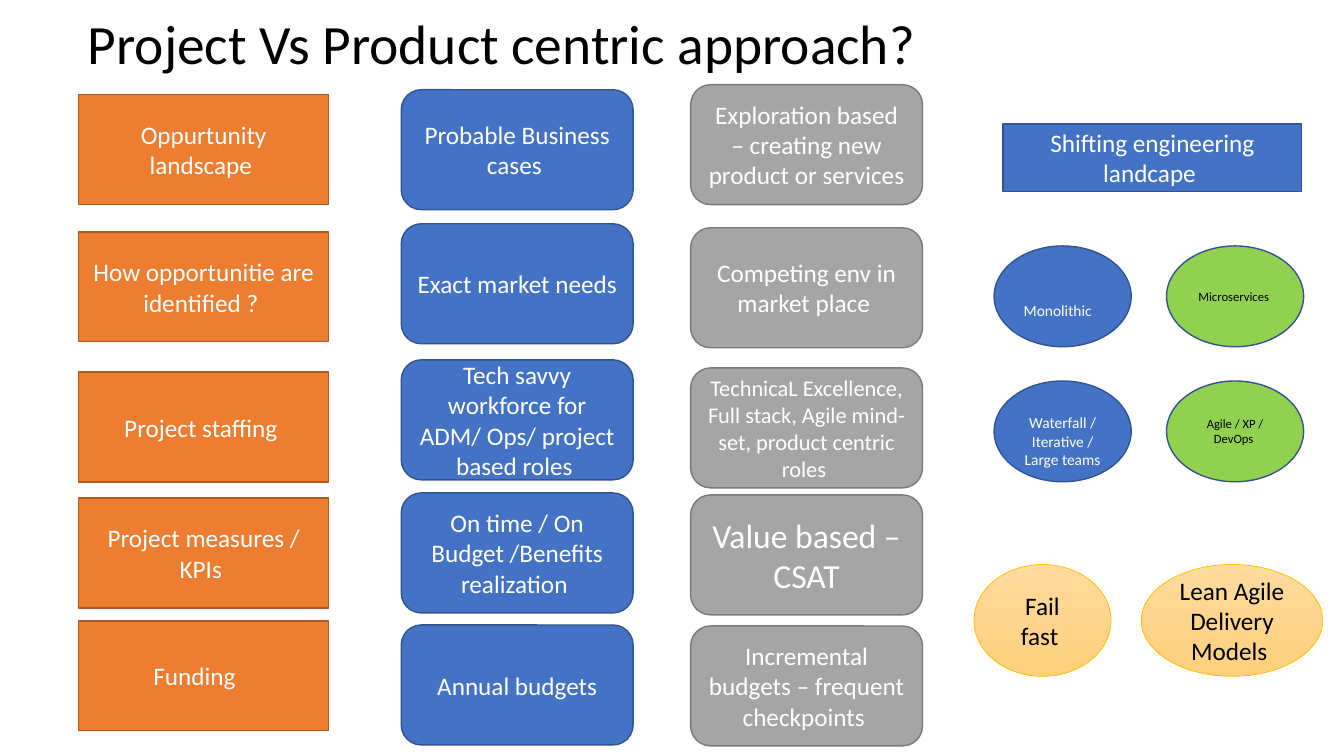
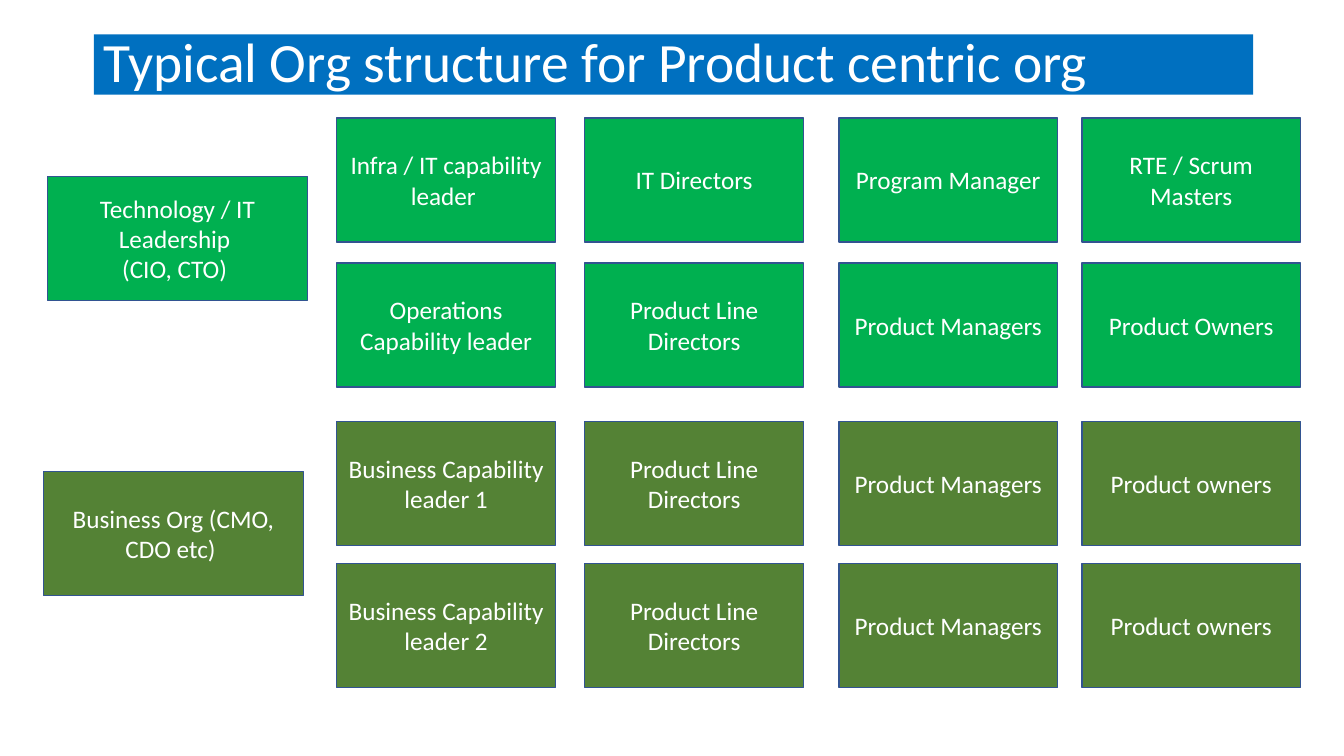
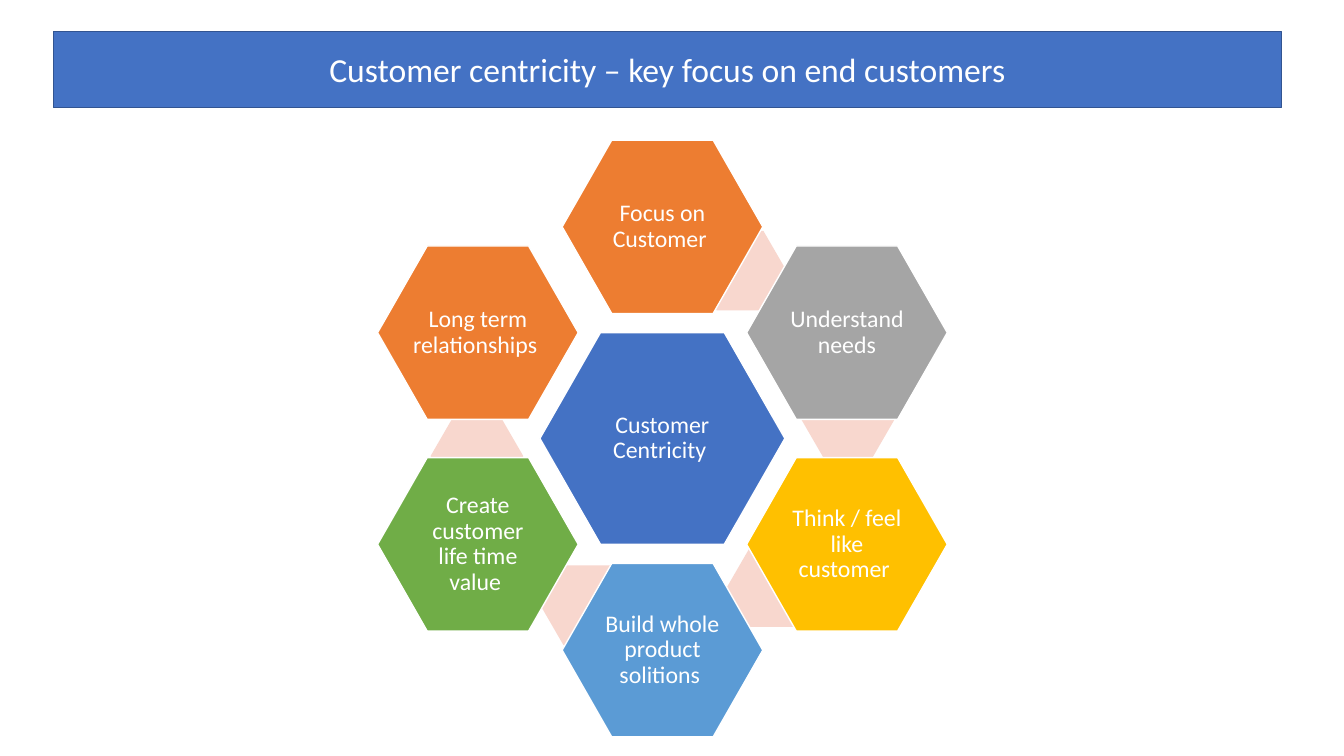
"""Build three slides on the product centric approach."""
from dataclasses import dataclass

from pptx import Presentation
from pptx.dml.color import RGBColor
from pptx.enum import shapes, text
from pptx.util import Inches, Pt


@dataclass(frozen=True)
class Theme:
    font: str = "Calibri"
    white: str = "FFFFFF"
    black: str = "000000"
    blue: str = "4472C4"
    blue_edge: str = "325491"
    orange: str = "ED7D31"
    orange_edge: str = "AF5C24"
    grey: str = "A5A5A5"
    grey_edge: str = "7A7A7A"
    gold: str = "FFC000"
    sand: tuple = ("FFDB9E", "FFD07C")
    lime: str = "92D050"
    sky: str = "5B9BD5"
    leaf: str = "70AD47"
    pink: str = "F8D7CE"
    banner: str = "0070C0"
    tech: str = "00B050"
    business: str = "548235"
    title: float = 39.6
    heading: int = 24
    body: int = 18
    ring: int = 17
    compact: int = 16
    small: int = 11
    tiny: int = 9


T = Theme()
S = shapes.MSO_SHAPE
CENTER, LEFT = text.PP_ALIGN.CENTER, text.PP_ALIGN.LEFT


def write(sp, words, size=T.body, color=T.white, align=CENTER, spacing=None, margins=None):
    tf = sp.text_frame
    tf.text = words
    frame = {"word_wrap": True, "auto_size": text.MSO_AUTO_SIZE.NONE,
             "vertical_anchor": text.MSO_ANCHOR.MIDDLE}
    for side, inset in (margins or {}).items():
        frame["margin_" + side] = Inches(inset)
    for name, value in frame.items():
        setattr(tf, name, value)
    for p in tf.paragraphs:
        p.alignment, p.line_spacing = align, spacing
        for r in p.runs:
            for name, value in {"name": T.font, "size": Pt(size)}.items():
                setattr(r.font, name, value)
            r.font.color.rgb = RGBColor.from_string(color)


def box(slide, kind, at, fill, edge=None, words="", weight=1, **style):
    sp = slide.shapes.add_shape(kind, *map(Inches, at))
    sp.shadow.inherit = False
    if isinstance(fill, tuple):
        sp.fill.gradient()
        sp.fill.gradient_angle = 270
        for stop, shade in zip(sp.fill.gradient_stops, fill):
            stop.color.rgb = RGBColor.from_string(shade)
    else:
        sp.fill.solid()
        sp.fill.fore_color.rgb = RGBColor.from_string(fill)
    if edge:
        sp.line.color.rgb = RGBColor.from_string(edge)
        sp.line.width = Pt(weight)
    else:
        sp.line.fill.background()
    if words:
        write(sp, words, **style)
    return sp


prs = Presentation()
prs.slide_width, prs.slide_height = Inches(13.33), Inches(7.5)

titles = [
    ("Project Vs Product centric approach?", (0.77, 0.22, 11.5, 0.49), None, None,
     {"size": T.title, "color": T.black, "align": LEFT, "spacing": 0.9}),
    ("Typical Org structure for Product centric org", (0.93, 0.34, 11.5, 0.6), T.banner, None,
     {"size": T.title, "align": LEFT, "spacing": 0.9}),
    ("Customer centricity – key focus on end customers", (0.53, 0.31, 12.18, 0.76), T.blue,
     T.blue_edge, {"size": T.heading}),
]
for words, at, fill, edge, style in titles:
    slide = prs.slides.add_slide(prs.slide_layouts[5])
    sp = slide.shapes.title
    for name, value in zip(("left", "top", "width", "height"), at):
        setattr(sp, name, Inches(value))
    if fill:
        sp.fill.solid()
        sp.fill.fore_color.rgb = RGBColor.from_string(fill)
    if edge:
        sp.line.color.rgb = RGBColor.from_string(edge)
        sp.line.width = Pt(1)
    write(sp, words, **style)
approach, org, customer = prs.slides

columns = [
    (S.RECTANGLE, 0.78, 2.48, 1.09, T.orange, T.orange_edge, [
        (0.94, "Oppurtunity landscape ", {}),
        (2.3, "How opportunitie are identified ? ", {}),
        (3.69, "Project staffing ", {}),
        (4.94, "Project measures / KPIs ", {}),
        (6.16, "Funding", {"margins": {"right": 0.28}})]),
    (S.FLOWCHART_ALTERNATE_PROCESS, 3.98, 2.3, 1.19, T.blue, T.blue_edge, [
        (0.89, "Probable Business cases ", {}),
        (2.22, "Exact market needs", {}),
        (3.57, "Tech savvy workforce for ADM/ Ops/ project based roles ", {}),
        (4.89, "On time / On Budget /Benefits realization ", {}),
        (6.2, "Annual budgets", {})]),
    (S.FLOWCHART_ALTERNATE_PROCESS, 6.85, 2.3, 1.19, T.grey, T.grey_edge, [
        (0.84, "Exploration based – creating new product or services ", {}),
        (2.26, "Competing env in market place ", {}),
        (3.65, "TechnicaL Excellence, Full stack, Agile mind-set, product centric roles ",
         {"size": T.compact}),
        (4.91, "Value based – CSAT", {"size": T.heading}),
        (6.21, "Incremental budgets – frequent checkpoints ", {})]),
]
for kind, left, width, height, fill, edge, cells in columns:
    for top, words, style in cells:
        box(approach, kind, (left, top, width, height), fill, edge, words, **style)

box(approach, S.RECTANGLE, (9.95, 1.23, 2.96, 0.67), T.blue, T.blue_edge,
    "Shifting engineering landcape ")
shifts = [
    (2.44, "Monolithic", {"top": 0.33, "left": 0, "right": 0.1}, "Microservices "),
    (3.78, "Waterfall / Iterative / Large teams ", {"top": 0.24}, "Agile / XP / DevOps "),
]
for top, before, margins, after in shifts:
    box(approach, S.OVAL, (9.86, top, 1.36, 1), T.blue, T.blue_edge, before,
        size=T.small, margins=margins)
    box(approach, S.OVAL, (11.57, top, 1.36, 1), T.lime, T.blue_edge, after,
        size=T.tiny, color=T.black)
for left, width, words in [(9.66, 1.36, "Fail fast "), (11.32, 1.8, "Lean Agile Delivery Models ")]:
    box(approach, S.OVAL, (left, 5.6, width, 1.11), T.sand, T.gold, words,
        weight=0.5, color=T.black)

leaders = [
    (0.47, 1.75, T.tech, "Technology / IT Leadership \n(CIO, CTO) "),
    (0.43, 4.68, T.business, "Business Org (CMO, CDO etc) "),
]
for left, top, fill, words in leaders:
    box(org, S.RECTANGLE, (left, top, 2.58, 1.23), fill, T.blue_edge, words)
teams = [
    (1.17, T.tech, ["Infra / IT capability leader ", "IT Directors", "Program Manager",
                    "RTE / Scrum Masters"]),
    (2.61, T.tech, ["Operations Capability leader", "Product Line Directors",
                    "Product Managers", "Product Owners"]),
    (4.18, T.business, ["Business Capability leader 1", "Product Line Directors",
                        "Product Managers", "Product owners"]),
    (5.59, T.business, ["Business Capability leader 2", "Product Line Directors",
                        "Product Managers", "Product owners"]),
]
for top, fill, roles in teams:
    for left, role in zip((3.34, 5.8, 8.32, 10.73), roles):
        box(org, S.RECTANGLE, (left, top, 2.17, 1.23), fill, T.blue_edge, role)

for left, top in [(6.88, 2.29), (7.95, 3.77), (7.21, 5.43), (5.36, 5.61), (4.27, 4.13)]:
    sp = box(customer, S.HEXAGON, (left, top, 0.92, 0.79), T.pink)
    sp.adjustments[0] = 0.289
mid_x, mid_y, step_x, step_y = 6.57, 4.35, 1.83, 1.05
hexagons = [
    (0, 0, 2.43, 2.1, T.blue, 0.02, "Customer Centricity "),
    (0, -2, 1.99, 1.72, T.orange, 0.02, "Focus on Customer "),
    (1, -1, 1.99, 1.72, T.grey, 0.02, "Understand needs"),
    (1, 1, 1.99, 1.72, T.gold, 0.06, "Think / feel like customer "),
    (0, 2, 1.99, 1.72, T.sky, 0.02, "Build whole product solitions "),
    (-1, 1, 1.99, 1.72, T.leaf, 0.06, "Create customer life time value "),
    (-1, -1, 1.99, 1.72, T.orange, 0.02, "Long term relationships "),
]
for col, row, width, height, fill, inset, words in hexagons:
    at = (mid_x + col * step_x - width / 2, mid_y + row * step_y - height / 2, width, height)
    margins = {"left": inset, "right": inset, "top": 0.02, "bottom": 0.02}
    sp = box(customer, S.HEXAGON, at, fill, T.white, words,
             size=T.ring, spacing=0.9, margins=margins)
    sp.adjustments[0] = 0.286

prs.save("out.pptx")
